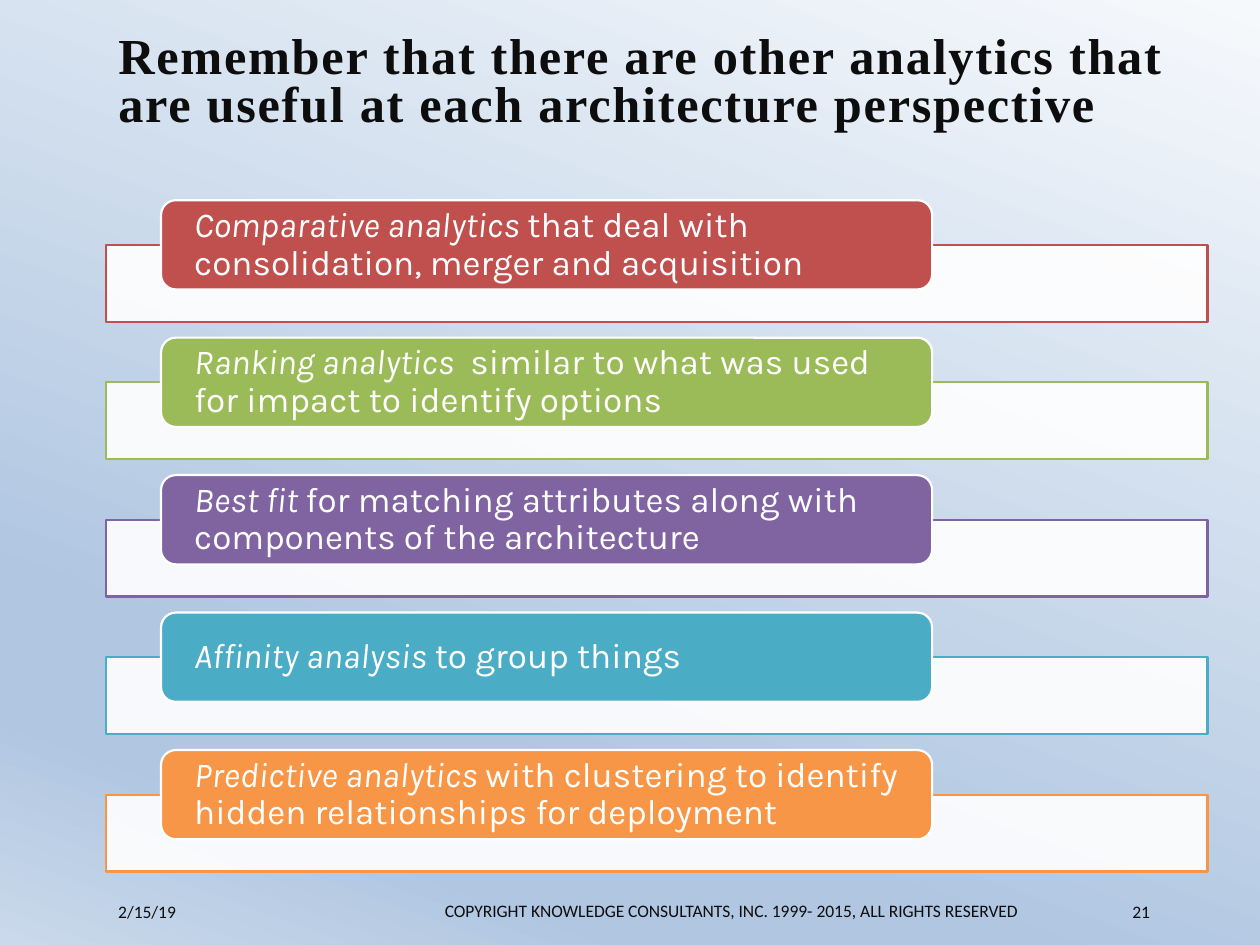
from copy import deepcopy
from dataclasses import dataclass

from pptx import Presentation
from pptx.dml.color import RGBColor
from pptx.enum import shapes, text
from pptx.oxml import ns, xmlchemy
from pptx.util import Pt


@dataclass(frozen=True)
class Theme:
    """Colours, fonts and type sizes of the slide."""
    ink: str = "0D0D0D"
    white: str = "FFFFFF"
    bars: tuple = ("C0504D", "9BBB59", "8064A2", "4BACC6", "F79646")
    sky: tuple = ((0, "F6F9FC"), (74, "B0C6E1"), (83, "B0C6E1"), (100, "CAD9EB"))
    head: tuple = ("Times New Roman", 28.8)
    body: tuple = ("Karla", 20)
    foot: tuple = ("Calibri", 10)
    edge: float = 1.25


THEME = Theme()
ITEMS = (
    ("Comparative analytics ", "that deal with consolidation, merger and acquisition"),
    ("Ranking analytics ", " similar to what was used for impact to identify options"),
    ("Best fit ", "for matching attributes along with components of the architecture"),
    ("Affinity analysis ", "to group things"),
    ("Predictive analytics ", "with clustering to identify hidden relationships for deployment"),
)


def rgb(code):
    """Turn a hex code into a colour."""
    return RGBColor.from_string(code)


def style(para, face, color):
    """Set the font of a whole paragraph."""
    font = para.font
    font.name, font.size = face[0], Pt(face[1])
    font.color.rgb = rgb(color)


def paint(slide):
    """Fill the background with the sky gradient."""
    fill = slide.background.fill
    fill.gradient()
    fill.gradient_angle = 250
    stops = slide.element.find(".//" + ns.qn("a:gsLst"))
    for old in list(stops)[1:]:
        stops.remove(old)
    for _ in THEME.sky[1:]:
        stops.append(deepcopy(stops[0]))
    for stop, (pos, code) in zip(fill.gradient_stops, THEME.sky):
        stop.position = pos / 100
        stop.color.rgb = rgb(code)


def block(slide, kind, box, fill, line):
    """Add a filled and outlined shape."""
    shape = slide.shapes.add_shape(kind, *map(Pt, box))
    shape.shadow.inherit = False
    shape.fill.solid()
    shape.fill.fore_color.rgb = rgb(fill)
    shape.line.color.rgb = rgb(line)
    shape.line.width = Pt(THEME.edge)
    return shape


def label(slide, box, words, face, align=text.PP_ALIGN.LEFT):
    """Add a wrapped, vertically centred text box and return its paragraph."""
    frame = slide.shapes.add_textbox(*map(Pt, box)).text_frame
    frame.word_wrap = True
    frame.vertical_anchor = text.MSO_ANCHOR.MIDDLE
    para = frame.paragraphs[0]
    para.text, para.alignment = words, align
    style(para, face, THEME.ink)
    return para


def title(slide, box):
    """Add the bold, widely spaced headline."""
    words = "Remember that there are other analytics that are useful at each architecture perspective"
    para = label(slide, box, words, THEME.head)
    para.line_spacing = 0.8
    para.font.bold = True
    para.runs[0].font._element.set("spc", "100")


def row(slide, box, color, parts):
    """Add one white bar with a coloured pill over its upper edge."""
    left, top, width, high = box
    bar = block(slide, shapes.MSO_SHAPE.RECTANGLE,
                (left, top + 25.5, width, high - 25.5), THEME.white, color)
    tint = bar.fill._xPr.find(".//" + ns.qn("a:srgbClr"))
    xmlchemy.OxmlElement("a:alpha")
    alpha = xmlchemy.OxmlElement("a:alpha")
    alpha.set("val", "90000")
    tint.append(alpha)
    pill = block(slide, shapes.MSO_SHAPE.ROUNDED_RECTANGLE,
                 (left + 31.5, top, width * 0.7, 51), color, THEME.white)
    frame = pill.text_frame
    frame.word_wrap = True
    frame.vertical_anchor = text.MSO_ANCHOR.MIDDLE
    frame.margin_left = frame.margin_right = Pt(16.5)
    frame.margin_top = frame.margin_bottom = 0
    para = frame.paragraphs[0]
    para.alignment, para.line_spacing = text.PP_ALIGN.LEFT, 0.9
    for part in parts:
        para.add_run().text = part
    para.runs[0].font.italic = True
    style(para, THEME.body, THEME.white)


def stack(slide, box):
    """Share the box out evenly among the rows."""
    left, top, width, high = box
    tall = 69.4
    step = (high - tall) / (len(ITEMS) - 1)
    for i, (color, parts) in enumerate(zip(THEME.bars, ITEMS)):
        row(slide, (left, top + i * step, width, tall), color, parts)


def footer(slide, box):
    """Add the date, the copyright line and the page number."""
    left, top, width, high = box
    label(slide, (left, top, 127.5, high), "2/15/19", THEME.foot)
    label(slide, (left + 179.5, top - 0.5, 348.5, high),
          "COPYRIGHT KNOWLEDGE CONSULTANTS, INC. 1999- 2015, ALL RIGHTS RESERVED",
          THEME.foot, text.PP_ALIGN.RIGHT)
    label(slide, (left + width - 57.5, top, 57.5, high), "21", THEME.foot)


def main():
    """Build and save the slide."""
    deck = Presentation()
    deck.slide_width, deck.slide_height = Pt(720), Pt(540)
    slide = deck.slides.add_slide(deck.slide_layouts[6])
    paint(slide)
    title(slide, (60.5, 6, 647, 84))
    stack(slide, (60.5, 114.4, 629.5, 383.6))
    footer(slide, (60.5, 510, 637, 21.5))
    deck.save("out.pptx")


if __name__ == "__main__":
    main()
